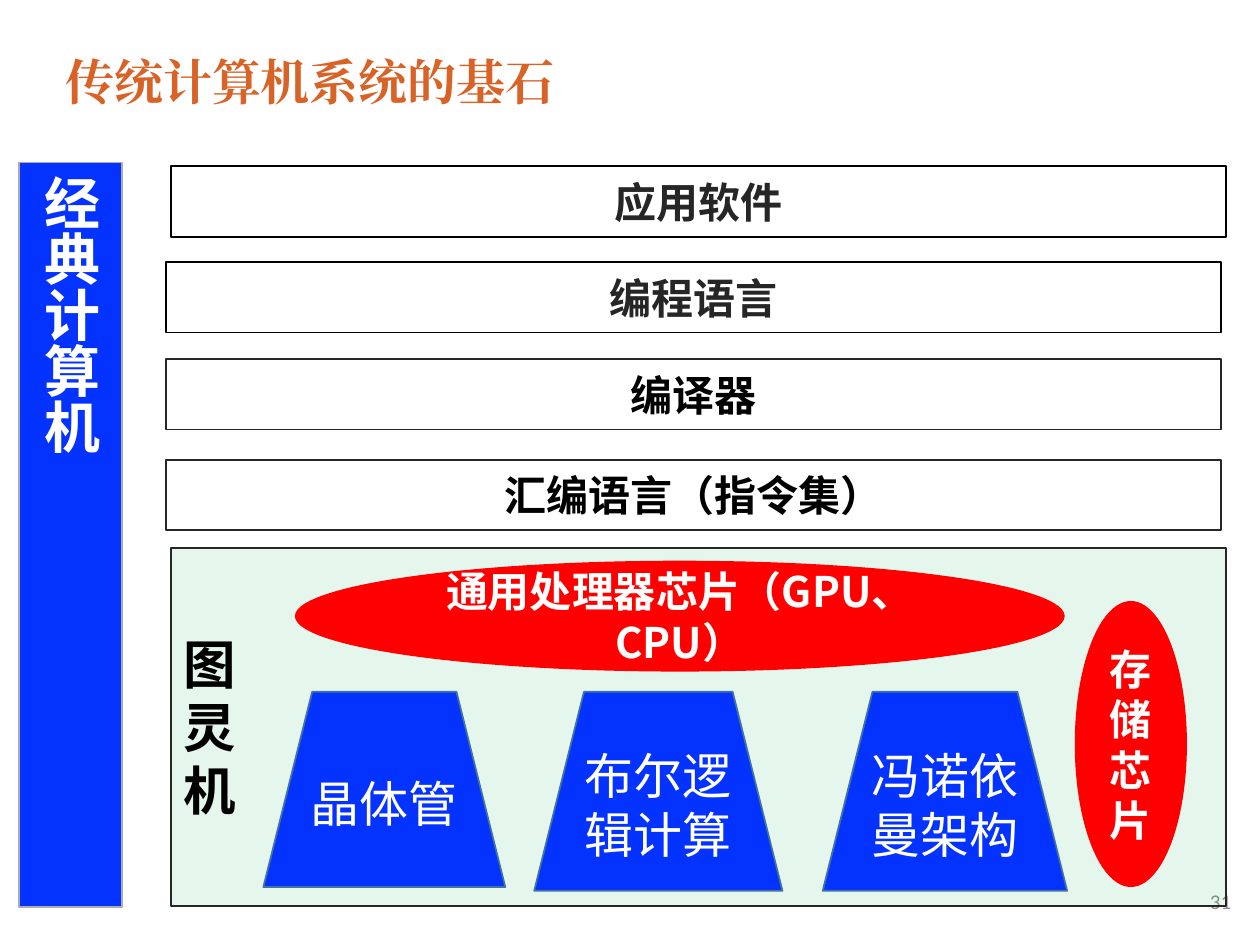
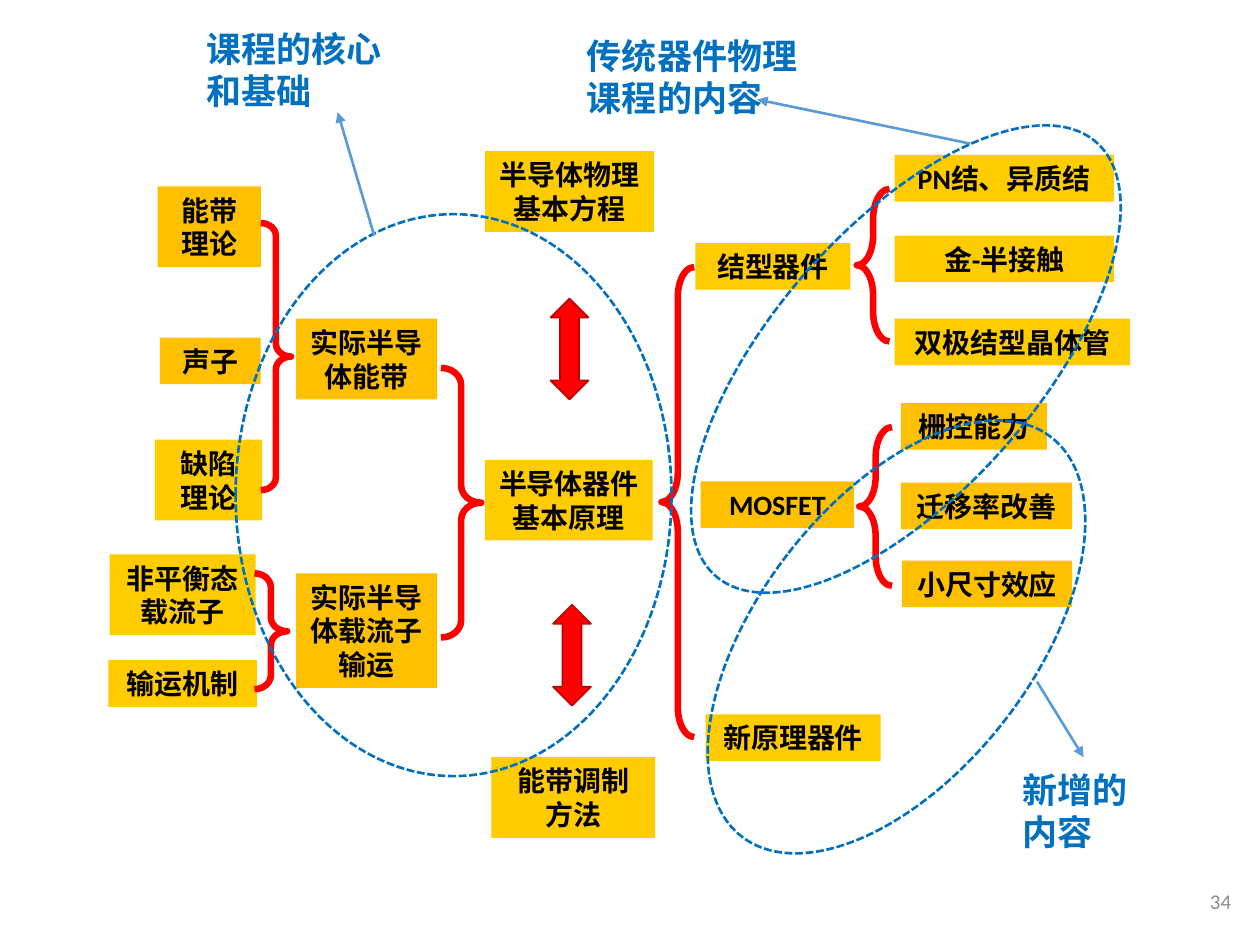
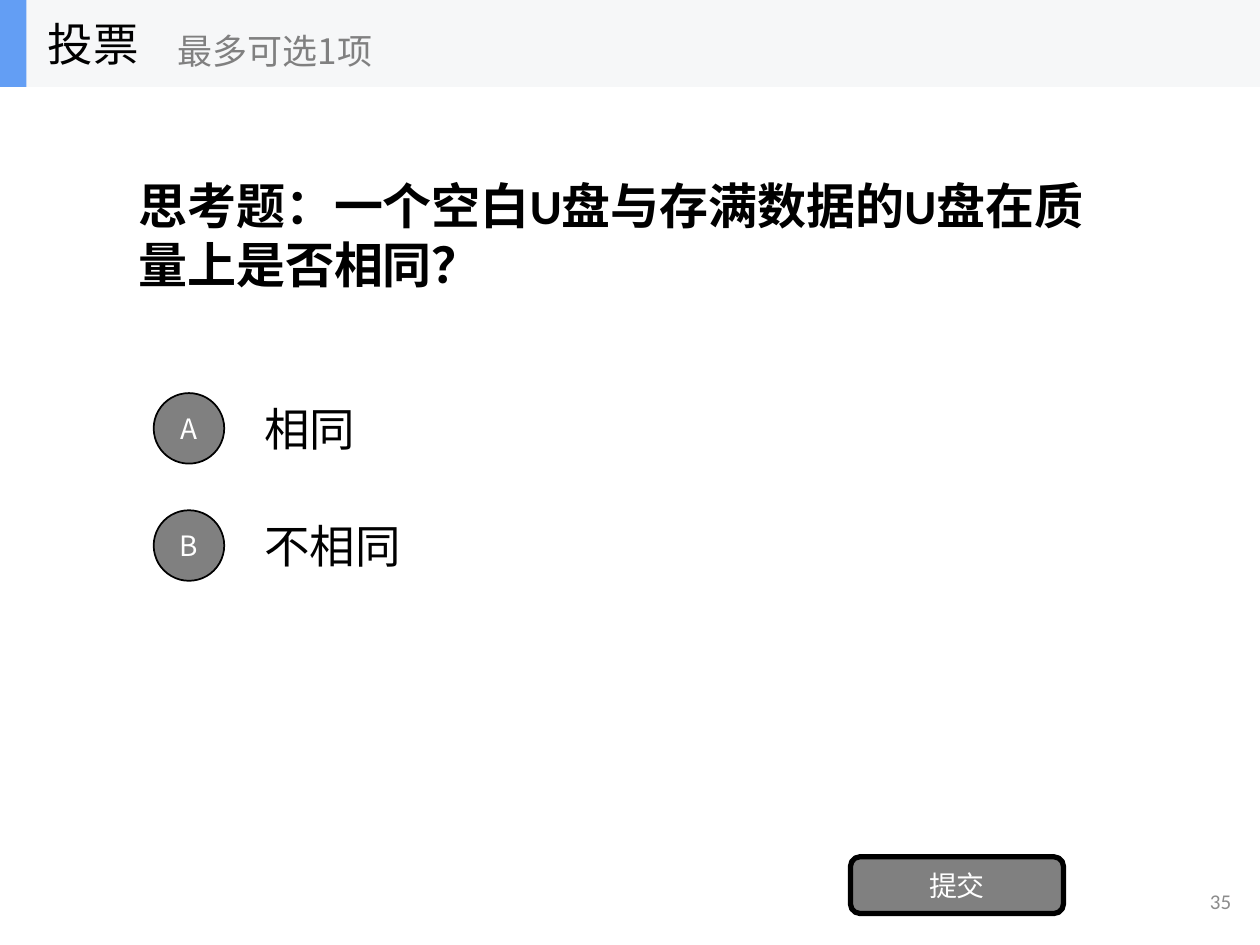
from lxml import etree
from pptx import Presentation
from pptx.dml.color import RGBColor
from pptx.enum.dml import MSO_LINE
from pptx.enum.shapes import MSO_CONNECTOR, MSO_SHAPE
from pptx.enum.text import MSO_ANCHOR, PP_ALIGN
from pptx.oxml.ns import qn
from pptx.util import Inches, Pt

RECT, ELLIPSE, ROUNDED = MSO_SHAPE.RECTANGLE, MSO_SHAPE.OVAL, MSO_SHAPE.ROUNDED_RECTANGLE
TRAPEZOID, TWO_WAY_ARROW = MSO_SHAPE.TRAPEZOID, MSO_SHAPE.UP_DOWN_ARROW
OPENS_LEFT, OPENS_RIGHT = MSO_SHAPE.RIGHT_BRACE, MSO_SHAPE.LEFT_BRACE
STRAIGHT, DASHED = MSO_CONNECTOR.STRAIGHT, MSO_LINE.SQUARE_DOT
LEFT, CENTER, RIGHT = PP_ALIGN.LEFT, PP_ALIGN.CENTER, PP_ALIGN.RIGHT
MIDDLE = MSO_ANCHOR.MIDDLE

CJK, LATIN, SERIF = "Noto Sans CJK SC", "Calibri", "Times New Roman"
BLACK, WHITE, INK, GRAY, PALE_GRAY = "000000", "FFFFFF", "262626", "808080", "8C8C8C"
RED, DARK_RED, BLUE, STEEL, GREEN = "FF0000", "C00000", "0432FF", "43739E", "00B050"
ORANGE, AMBER, YELLOW = "D96227", "FFC000", "FFCC00"
NOTE_BLUE, ARROW_BLUE = "0070C0", "5B9BD5"
LINE_HEIGHT = 1.2
PAGE = (0, 0)


def rgb(value):
    return RGBColor.from_string(value)


def box_at(origin, at):
    """Turn a place relative to origin into slide lengths."""
    left, top, width, height = at
    return [Inches(n) for n in (origin[0] + left, origin[1] + top, width, height)]


def write(shape, text, size, color=BLACK, bold=False, font=CJK, align=CENTER):
    frame = shape.text_frame
    frame.word_wrap = True
    frame.vertical_anchor = MIDDLE
    frame.text = text
    for paragraph in frame.paragraphs:
        paragraph.alignment = align
        paragraph.line_spacing = Pt(round(size * LINE_HEIGHT, 1))
        run = paragraph.runs[0]
        for name, value in {"name": font, "size": Pt(size), "bold": bold}.items():
            setattr(run.font, name, value)
        run.font.color.rgb = rgb(color)
        east_asian = etree.SubElement(run.font._element, qn("a:ea"))
        east_asian.set("typeface", font)


def add_text(slide, origin, at, text, size, align=LEFT, **style):
    write(slide.shapes.add_textbox(*box_at(origin, at)), text, size, align=align, **style)


def add_figure(slide, origin, kind, at, fill=None, line=None, weight=1):
    shape = slide.shapes.add_shape(kind, *box_at(origin, at))
    shape.shadow.inherit = False
    if fill:
        shape.fill.solid()
        shape.fill.fore_color.rgb = rgb(fill)
    else:
        shape.fill.background()
    if line:
        shape.line.color.rgb = rgb(line)
        shape.line.width = Pt(weight)
    else:
        shape.line.fill.background()
    return shape


def set_opacity(shape, percent):
    color = shape._element.spPr.find(qn("a:solidFill"))[0]
    etree.SubElement(color, qn("a:alpha")).set("val", str(percent * 1000))


def add_page_number(slide, number):
    add_text(slide, PAGE, (7.62, 6.95, 2.25, 0.4), str(number), 12,
             align=RIGHT, color=PALE_GRAY, font=LATIN)


# Foundations of the classical computer

def software_layers(slide, origin):
    layers = [
        (0.04, 0, "应用软件", WHITE, BLACK, INK),
        (0, 0.76, "编程语言", WHITE, BLACK, INK),
        (0, 1.53, "编译器", None, INK, BLACK),
        (0, 2.33, "汇编语言（指令集）", None, INK, BLACK),
    ]
    for left, top, label, fill, line, color in layers:
        layer = add_figure(slide, origin, RECT, (left, top, 8.37, 0.56), fill, line)
        write(layer, label, 24, color, bold=True)


def turing_machine(slide, origin):
    panel = add_figure(slide, origin, RECT, (0, 0, 8.37, 2.84), GREEN, INK)
    set_opacity(panel, 10)
    write(panel, "图\n灵\n机", 30, bold=True, align=LEFT)
    pillars = [
        (0.73, 1.92, 1.55, "晶体管"),
        (2.88, 1.97, 1.58, "布尔逻辑计算"),
        (5.17, 1.94, 1.58, "冯诺依曼架构"),
    ]
    for left, width, height, label in pillars:
        pillar = add_figure(slide, origin, TRAPEZOID, (left, 1.14, width, height), BLUE, STEEL)
        write(pillar, label, 28, WHITE)
    chips = [
        ((7.17, 0.42, 0.89, 2.27), "存储芯片"),
        ((0.98, 0.1, 6.11, 0.88), "通用处理器芯片（GPU、CPU）"),
    ]
    for at, label in chips:
        write(add_figure(slide, origin, ELLIPSE, at, RED), label, 24, WHITE, bold=True)


def side_banner(slide, origin):
    banner = add_figure(slide, origin, RECT, (0, 0, 0.82, 5.91), BLUE, "AFABAB")
    write(banner, "经典计算机", 32, WHITE, bold=True, align=LEFT)
    banner.text_frame._txBody.bodyPr.set("vert", "eaVert")


def foundations_slide(slide):
    add_page_number(slide, 31)
    add_text(slide, PAGE, (0.42, 0.36, 9.3, 0.57), "传统计算机系统的基石", 28,
             color=ORANGE, bold=True, font=SERIF)
    turing_machine(slide, (1.36, 4.35))
    software_layers(slide, (1.32, 1.32))
    side_banner(slide, (0.15, 1.29))


# Course map

def add_topics(slide, origin, topics):
    for at, label, fill in topics:
        write(add_figure(slide, origin, RECT, at, fill), label, 16, bold=True, font=LATIN)


def add_braces(slide, origin, kind, curl, places):
    for at in places:
        brace = add_figure(slide, origin, kind, at, line=RED, weight=3.75)
        brace.adjustments[0] = curl


def carrier_topics(slide, origin):
    add_topics(slide, origin, [
        ((0.39, 0, 0.82, 0.64), "能带理论", AMBER),
        ((0.41, 1.2, 0.8, 0.37), "声子", AMBER),
        ((0.37, 2.01, 0.85, 0.64), "缺陷理论", YELLOW),
        ((0.01, 2.92, 1.16, 0.64), "非平衡态载流子", YELLOW),
        ((0, 3.76, 1.18, 0.37), "输运机制", YELLOW),
        ((1.49, 1.05, 1.12, 0.64), "实际半导体能带", AMBER),
        ((1.49, 3.07, 1.12, 0.91), "实际半导体载流子输运", AMBER),
    ])
    add_braces(slide, origin, OPENS_LEFT, 0.424, [
        (1.21, 0.29, 0.24, 2.12), (1.16, 3.07, 0.26, 0.92), (2.64, 1.44, 0.32, 2.14)])


def principle_topics(slide, origin):
    add_topics(slide, origin, [
        ((0, 0, 1.34, 0.64), "半导体物理基本方程", YELLOW),
        ((0, 2.45, 1.33, 0.64), "半导体器件基本原理", YELLOW),
        ((0.05, 4.81, 1.3, 0.64), "能带调制方法", YELLOW),
    ])
    for left, top in [(0.52, 1.17), (0.54, 3.6)]:
        add_figure(slide, origin, TWO_WAY_ARROW, (left, top, 0.3, 0.8), RED, DARK_RED)


def device_topics(slide, origin):
    add_topics(slide, origin, [
        ((0.27, 0.7, 1.23, 0.37), "结型器件", YELLOW),
        ((1.85, 0, 1.74, 0.37), "PN结、异质结", YELLOW),
        ((1.85, 0.64, 1.74, 0.37), "金-半接触", YELLOW),
        ((1.85, 1.3, 1.87, 0.37), "双极结型晶体管", YELLOW),
        ((0.31, 2.59, 1.22, 0.37), "MOSFET", AMBER),
        ((1.9, 1.97, 1.16, 0.37), "栅控能力", AMBER),
        ((1.9, 2.6, 1.36, 0.37), "迁移率改善", AMBER),
        ((1.91, 3.22, 1.35, 0.37), "小尺寸效应", AMBER),
        ((0.35, 4.44, 1.39, 0.37), "新原理器件", YELLOW),
    ])
    add_braces(slide, origin, OPENS_RIGHT, 0.912, [
        (0, 0.89, 0.26, 3.73), (1.55, 0.27, 0.26, 1.21), (1.57, 2.16, 0.26, 1.26)])


def add_arrow(slide, origin, start, end):
    points = [Inches(origin[axis] + point[axis]) for point in (start, end) for axis in (0, 1)]
    arrow = slide.shapes.add_connector(STRAIGHT, *points)
    arrow.line.color.rgb = rgb(ARROW_BLUE)
    arrow.line.width = Pt(1.5)
    etree.SubElement(arrow.line._get_or_add_ln(), qn("a:tailEnd")).set("type", "triangle")
    etree.SubElement(arrow._element.spPr, qn("a:effectLst"))


def course_scopes(slide, origin):
    """Dashed outlines, each with an arrow to its note."""
    scopes = [
        ((1.87, 1.7, 3.46, 4.46), 0, (2.97, 1.87), (2.68, 0.89),
         (1.54, 0.17, 1.77, 0.77), "课程的核心和基础"),
        ((6.14, 0.56, 2.1, 4.58), 41.3, (7.7, 1.14), (6.01, 0.79),
         (4.56, 0.22, 2.08, 0.77), "传统器件物理课程的内容"),
        ((6.03, 3.05, 2.17, 4.01), 37.8, (8.23, 5.41), (8.6, 6.01),
         (8.02, 6.05, 1.16, 0.77), "新增的内容"),
    ]
    for outline_at, angle, start, end, note_at, note in scopes:
        outline = add_figure(slide, origin, ELLIPSE, outline_at, line=NOTE_BLUE, weight=1.5)
        outline.rotation = angle
        outline.line.dash_style = DASHED
        add_arrow(slide, origin, start, end)
        add_text(slide, origin, note_at, note, 20, color=NOTE_BLUE, bold=True)


def course_map_slide(slide):
    add_page_number(slide, 34)
    carrier_topics(slide, (0.86, 1.48))
    principle_topics(slide, (3.85, 1.2))
    device_topics(slide, (5.25, 1.23))
    course_scopes(slide, PAGE)


# Poll

def poll_header(slide, origin):
    add_figure(slide, origin, RECT, (0, 0, 10, 0.69), "F6F7F8")
    add_figure(slide, origin, RECT, (0, 0, 0.21, 0.69), "639EF4")
    add_text(slide, origin, (0.28, 0, 2.08, 0.69), "投票", 26)
    add_text(slide, origin, (1.31, 0.12, 2.5, 0.56), "最多可选1项", 20, color=GRAY)


def poll_options(slide, origin, answers):
    for row, (letter, answer) in enumerate(answers):
        top = row * 0.93
        add_text(slide, origin, (0.78, top, 7, 0.7), answer, 26)
        badge = add_figure(slide, origin, ELLIPSE, (0, top + 0.07, 0.56, 0.56), GRAY, BLACK)
        write(badge, letter, 16, WHITE)


def poll_slide(slide):
    add_page_number(slide, 35)
    add_text(slide, PAGE, (1, 0.69, 8, 2.34),
             "思考题：一个空白U盘与存满数据的U盘在质量上是否相同？", 28, bold=True, font=LATIN)
    poll_options(slide, (1.22, 3.05), [("A", "相同"), ("B", "不相同")])
    submit = add_figure(slide, PAGE, ROUNDED, (6.75, 6.8, 1.69, 0.45), GRAY, BLACK, 3)
    write(submit, "提交", 16, WHITE)
    poll_header(slide, PAGE)


def main():
    deck = Presentation()
    deck.slide_width, deck.slide_height = Inches(10), Inches(7.5)
    blank = deck.slide_layouts[6]
    for build in (foundations_slide, course_map_slide, poll_slide):
        build(deck.slides.add_slide(blank))
    deck.save("out.pptx")


if __name__ == "__main__":
    main()
